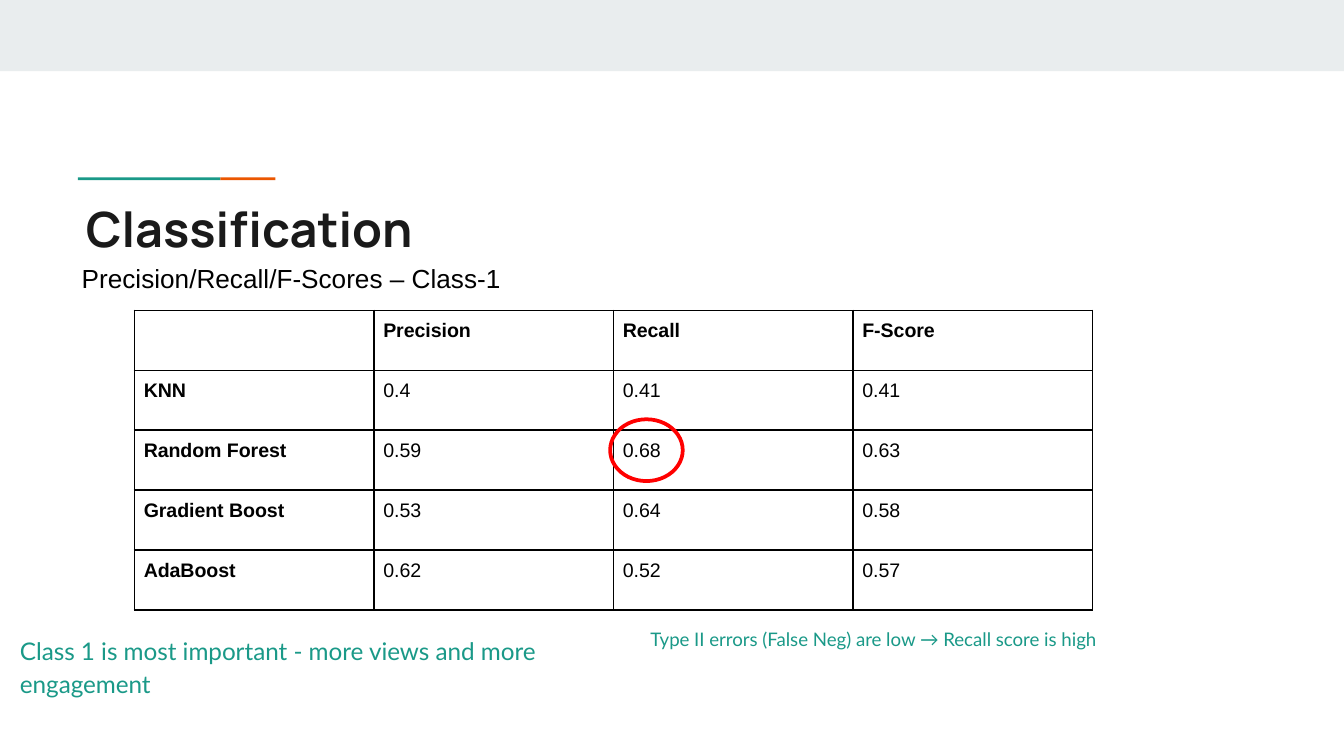
from pptx import Presentation
from pptx.dml.color import RGBColor
from pptx.enum.shapes import MSO_SHAPE as Shape
from pptx.enum.text import MSO_ANCHOR as Anchor
from pptx.oxml.ns import qn
from pptx.util import Inches, Pt
from lxml import etree

BLACK, TEAL, ORANGE, RED = "000000", "1A9988", "EB5600", "FF0000"
BAND, INK = "E9EDEE", "1A1A1A"
PAGE_WIDTH = 10
PAGE_HEIGHT = PAGE_WIDTH * 9 / 16

SCORES = [
    ["", "Precision", "Recall", "F-Score"],
    ["KNN", "0.4", "0.41", "0.41"],
    ["Random Forest", "0.59", "0.68", "0.63"],
    ["Gradient Boost", "0.53", "0.64", "0.58"],
    ["AdaBoost", "0.62", "0.52", "0.57"],
]


def color(hex_text):
    return RGBColor.from_string(hex_text)


def write(para, text, format_values, hex_text):
    span = para.add_run()
    span.text = text
    for name, value in format_values.items():
        setattr(span.font, name, value)
    span.font.color.rgb = color(hex_text)


def add_shape(page, kind, box, fill=None, line=None, width=1):
    shape = page.shapes.add_shape(kind, *map(Inches, box))
    shape.shadow.inherit = False
    if fill:
        shape.fill.solid()
        shape.fill.fore_color.rgb = color(fill)
    else:
        shape.fill.background()
    if line:
        shape.line.color.rgb = color(line)
        shape.line.width = Pt(width)
    else:
        shape.line.fill.background()


def add_text(page, box, text, format_values, hex_text, inset=0.1, spacing=None):
    frame = page.shapes.add_textbox(*map(Inches, box)).text_frame
    frame_values = {"word_wrap": True, "vertical_anchor": Anchor.TOP,
                    "margin_top": Inches(inset), "margin_bottom": Inches(inset)}
    for name, value in frame_values.items():
        setattr(frame, name, value)
    para = frame.paragraphs[0]
    for name, value in (spacing or {}).items():
        setattr(para, name, value)
    write(para, text, format_values, hex_text)


def add_accent(page, left, top):
    teal_width, orange_width, height = 1.06, 0.41, 0.02
    add_shape(page, Shape.RECTANGLE, (left, top, teal_width, height), TEAL)
    add_shape(page, Shape.RECTANGLE, (left + teal_width, top, orange_width, height), ORANGE)


def add_cell_borders(cell, hex_text, width):
    properties = cell._tc.get_or_add_tcPr()
    for position, side in enumerate(("a:lnL", "a:lnR", "a:lnT", "a:lnB")):
        line = etree.Element(qn(side), w=str(Pt(width)))
        fill = etree.SubElement(line, qn("a:solidFill"))
        etree.SubElement(fill, qn("a:srgbClr"), val=hex_text)
        properties.insert(position, line)


def add_score_table(page, box):
    rows, columns = len(SCORES), len(SCORES[0])
    table = page.shapes.add_table(rows, columns, *map(Inches, box)).table
    table.first_row = table.horz_banding = False
    for row, values in enumerate(SCORES):
        for column, value in enumerate(values):
            cell = table.cell(row, column)
            for side in ("left", "right", "top", "bottom"):
                setattr(cell, f"margin_{side}", Inches(0.07))
            cell.fill.background()
            add_cell_borders(cell, BLACK, 1)
            if value:
                heading = row == 0 or column == 0
                write(cell.text_frame.paragraphs[0], value,
                      {"name": "Arial", "size": Pt(10.5), "bold": heading}, BLACK)


def add_notes(page, top):
    spacing = {"line_spacing": 1.15, "space_after": Pt(16)}
    add_text(page, (0.05, top, 4.04, 0.68),
             "Class 1 is most important - more views and more engagement",
             {"name": "Lato", "size": Pt(13)}, TEAL, spacing=spacing)
    add_text(page, (4.74, top, 3.82, 0.28),
             "Type II errors (False Neg) are low → Recall score is high",
             {"name": "Lato", "size": Pt(10)}, TEAL, 0.05, spacing)


def main():
    deck = Presentation()
    deck.slide_width, deck.slide_height = Inches(PAGE_WIDTH), Inches(PAGE_HEIGHT)
    page = deck.slides.add_slide(deck.slide_layouts[6])
    add_shape(page, Shape.RECTANGLE, (0, 0, PAGE_WIDTH, 0.53), BAND)
    add_accent(page, 0.58, 1.32)
    add_text(page, (0.54, 1.38, 8.41, 0.59), "Classification",
             {"name": "Manrope", "size": Pt(26), "bold": True}, INK)
    add_score_table(page, (1, 2.31, 7.13, 2.23))
    add_text(page, (0.51, 1.9, 4.54, 0.35), "Precision/Recall/F-Scores – Class-1",
             {"name": "Arial", "size": Pt(14)}, BLACK, 0.05)
    add_shape(page, Shape.OVAL, (4.54, 3.12, 0.54, 0.46), line=RED, width=2)
    add_notes(page, 4.6)
    deck.save("out.pptx")


if __name__ == "__main__":
    main()
